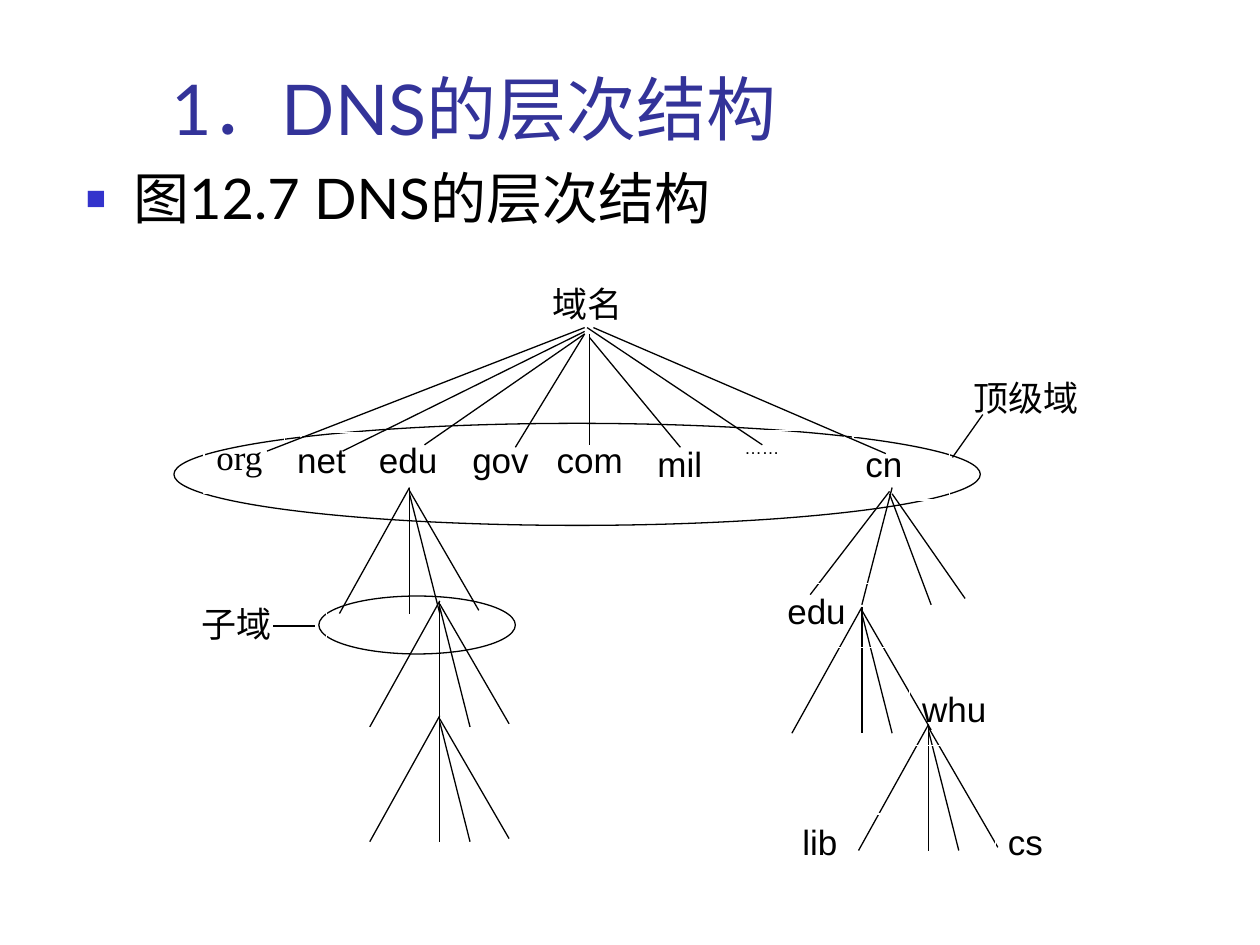
from lxml.etree import SubElement
from pptx import Presentation
from pptx.dml.color import RGBColor
from pptx.enum.shapes import MSO_CONNECTOR, MSO_SHAPE
from pptx.enum.text import MSO_ANCHOR, MSO_AUTO_SIZE, PP_ALIGN
from pptx.oxml.ns import qn
from pptx.util import Pt


def rgb(value):
    return RGBColor.from_string(value)


class Deck:
    black = "000000"
    white = "FFFFFF"
    title_color = "333399"
    bullet_color = "3333CC"
    heading_font = "Lato"
    label_font = "Arial"
    serif_font = "Times New Roman"
    line_width = 0.75

    def __init__(self):
        self.prs = Presentation()
        self.prs.slide_width = Pt(720)
        self.prs.slide_height = Pt(540)
        self.s = self.prs.slides.add_slide(self.prs.slide_layouts[1])

    def place(self, sp, left, top, width, height):
        sp.left, sp.top = Pt(left), Pt(top)
        sp.width, sp.height = Pt(width), Pt(height)

    def add_text(self, sp, text, size, font, color, anchor=MSO_ANCHOR.TOP):
        tf = sp.text_frame
        tf.word_wrap = True
        tf.auto_size = MSO_AUTO_SIZE.NONE
        tf.vertical_anchor = anchor
        p = tf.paragraphs[0]
        p.alignment = PP_ALIGN.LEFT
        p.space_before = Pt(0)
        r = p.add_run()
        r.text = text
        r.font.size = Pt(size)
        r.font.name = font
        r.font.color.rgb = rgb(color)
        return p

    def title(self, text, *box):
        sp = self.s.shapes.title
        self.place(sp, *box)
        self.add_text(sp, text, 40, self.heading_font, self.title_color, MSO_ANCHOR.BOTTOM)

    def body(self, text, *box):
        sp = self.s.placeholders[1]
        self.place(sp, *box)
        p = self.add_text(sp, text, 32, self.heading_font, self.black)
        pPr = p._p.get_or_add_pPr()
        pPr.set("marL", str(Pt(27)))
        pPr.set("indent", str(-Pt(27)))
        color = SubElement(pPr, qn("a:buClr"))
        SubElement(color, qn("a:srgbClr"), val=self.bullet_color)
        SubElement(pPr, qn("a:buSzPct"), val="60000")
        SubElement(pPr, qn("a:buFont"), typeface=self.label_font)
        SubElement(pPr, qn("a:buChar"), char="■")

    def shape(self, kind, box, line):
        sp = self.s.shapes.add_shape(kind, *map(Pt, box))
        sp.shadow.inherit = False
        sp.line.color.rgb = rgb(line)
        sp.line.width = Pt(self.line_width)
        return sp

    def ellipse(self, *box):
        sp = self.shape(MSO_SHAPE.OVAL, box, self.black)
        sp.fill.solid()
        sp.fill.fore_color.rgb = rgb(self.white)

    def label(self, text, left, top, width=78.5, height=36.7, size=20, font=label_font):
        sp = self.shape(MSO_SHAPE.RECTANGLE, (left, top, width, height), self.white)
        sp.fill.background()
        self.add_text(sp, text, size, font, self.black)

    def line(self, x1, y1, x2, y2):
        c = self.s.shapes.add_connector(MSO_CONNECTOR.STRAIGHT, *map(Pt, (x1, y1, x2, y2)))
        c.line.color.rgb = rgb(self.black)
        c.line.width = Pt(self.line_width)
        SubElement(c._element.spPr, qn("a:effectLst"))

    def fan(self, x, y):
        for start, dx, dy in ((0, -40, 72), (0, 0, 72), (3.6, 17.3, 72), (1.8, 39.6, 70.2)):
            self.line(x, y + start, x + dx, y + dy)


def main():
    d = Deck()
    d.title("1．DNS的层次结构", 90.7, 41.8, 545, 47.5)
    d.body("图12.7 DNS的层次结构", 41.8, 90, 642.2, 55.4)

    d.ellipse(99.4, 241.9, 460.8, 58.3)
    d.label("org", 116.6, 245.5, 55.4, font=d.serif_font)
    for text, left, top in (
        ("net", 162.7, 247),
        ("edu", 209.5, 247),
        ("cn", 487.4, 249.1),
        ("gov", 262.8, 247),
        ("com", 311, 247),
        ("mil", 368.6, 249.1),
    ):
        d.label(text, left, top, 55.4)
    d.label("……", 418.3, 246.2, 64.1, 43.2, size=10)
    d.label("域名", 308.9, 157.7, font=d.serif_font)
    d.ellipse(182.2, 340.6, 112.3, 33.1)

    for branch in (
        (334.1, 187.2, 152.6, 257.8),
        (334.1, 189.4, 195.8, 257.8),
        (334.1, 190.8, 242.6, 254.2),
        (334.1, 190.8, 294.5, 255.6),
        (337, 190.8, 337, 254.2),
        (337, 193, 388.8, 255.6),
        (335.5, 187.2, 435.6, 254.2),
        (339.1, 187.2, 506.2, 259.2),
        (508.3, 280.8, 463, 339.8),
        (509.8, 278.6, 492.5, 345.6),
        (508.3, 282.2, 532.1, 345.6),
        (509.8, 282.2, 551.5, 342),
    ):
        d.line(*branch)
    for root in ((234, 278.6), (251.3, 343.4), (251.3, 409), (492.5, 347), (530.6, 414)):
        d.fan(*root)

    d.label("子域", 108, 340.6, font=d.serif_font)
    d.label("顶级域", 549.4, 211.7, font=d.serif_font)
    d.line(156.2, 357.8, 180, 357.8)
    d.line(561.6, 236.9, 544.3, 261.4)
    for text, left, top in (
        ("edu", 442.8, 333.4),
        ("whu", 519.8, 389.5),
        ("cs", 568.8, 465.1),
        ("lib", 451.4, 465.1),
    ):
        d.label(text, left, top)

    d.prs.save("out.pptx")


if __name__ == "__main__":
    main()
